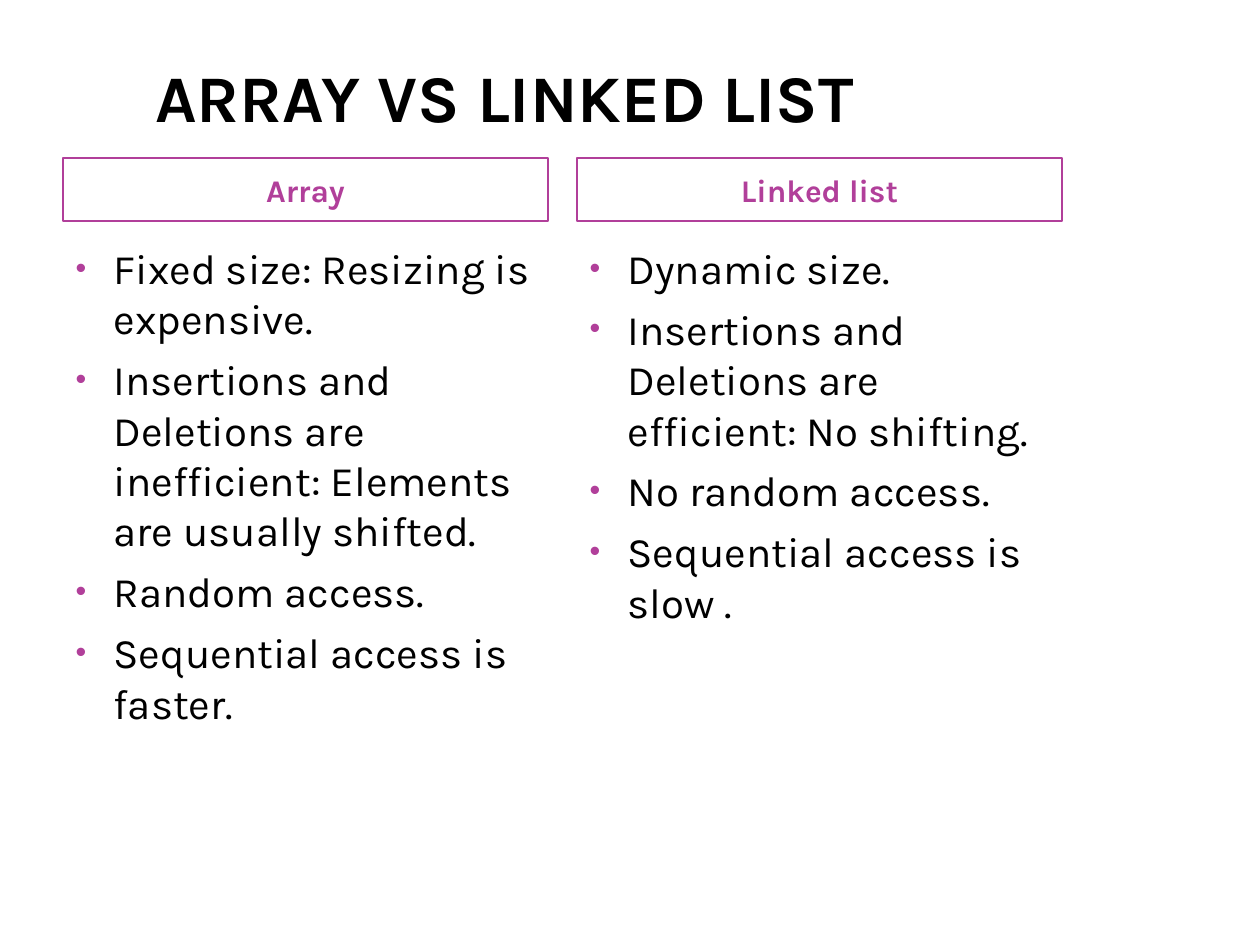
from dataclasses import dataclass

from lxml.etree import SubElement
from pptx import Presentation
from pptx.dml.color import RGBColor
from pptx.enum.text import MSO_ANCHOR, MSO_AUTO_SIZE, PP_ALIGN
from pptx.oxml.ns import qn
from pptx.util import Pt

PX = 914400 / 126


@dataclass(frozen=True)
class Theme:
    """Colours, font and type sizes of the slide."""
    font: str = "Karla"
    ink: str = "000000"
    accent: str = "B13F9A"
    title: int = 38
    heading: int = 18
    body: int = 24
    gap: int = 6
    bullet_pct: int = 73


THEME = Theme()
COLUMNS = [
    ("Array", [
        "Fixed size: Resizing is expensive.",
        "Insertions and Deletions are inefficient: Elements are usually shifted.",
        "Random access.",
        "Sequential access is faster.",
    ]),
    ("Linked list", [
        "Dynamic size.",
        "Insertions and Deletions are efficient: No shifting.",
        "No random access.",
        "Sequential access is slow .",
    ]),
]


def px(n):
    """Convert pixels to EMU."""
    return round(n * PX)


def place(sp, x, y, w, h, anchor):
    """Move a placeholder to a box and return its text frame."""
    sp.left, sp.top, sp.width, sp.height = map(px, (x, y, w, h))
    tf = sp.text_frame
    tf.word_wrap = True
    tf.auto_size = MSO_AUTO_SIZE.NONE
    tf.vertical_anchor = anchor
    return tf


def style(p, size, color, bold=False):
    """Format every run of a paragraph."""
    for r in p.runs:
        r.font.name = THEME.font
        r.font.size = Pt(size)
        r.font.bold = bold
        r.font.color.rgb = RGBColor.from_string(color)


def add_bullet(p, indent):
    """Give a paragraph a hanging accent-coloured bullet."""
    pPr = p._p.get_or_add_pPr()
    pPr.set("marL", str(px(indent)))
    pPr.set("indent", str(-px(indent)))
    clr = SubElement(pPr, qn("a:buClr"))
    SubElement(clr, qn("a:srgbClr"), val=THEME.accent)
    SubElement(pPr, qn("a:buSzPct"), val=str(THEME.bullet_pct * 1000))
    SubElement(pPr, qn("a:buFont"), typeface="Arial")
    SubElement(pPr, qn("a:buChar"), char="•")


def fill_title(sp, text, x, y, w, h):
    """Set the indented slide title."""
    tf = place(sp, x, y, w, h, MSO_ANCHOR.BOTTOM)
    tf.margin_left = tf.margin_right = px(6)
    tf.margin_top = tf.margin_bottom = 0
    tf.text = text
    p = tf.paragraphs[0]
    p.alignment = PP_ALIGN.LEFT
    p._p.get_or_add_pPr().set("marL", str(px(86)))
    style(p, THEME.title, THEME.ink, True)


def fill_column(head, body, heading, items, x, y, w, h):
    """Set a framed heading with its bulleted list below."""
    tf = place(head, x, y, w, 63, MSO_ANCHOR.MIDDLE)
    head.line.color.rgb = RGBColor.from_string(THEME.accent)
    head.line.width = Pt(1)
    tf.text = heading
    p = tf.paragraphs[0]
    p.alignment = PP_ALIGN.CENTER
    p.space_before = Pt(THEME.gap)
    style(p, THEME.heading, THEME.accent, True)

    tf = place(body, x, y + 78, w, h - 78, MSO_ANCHOR.TOP)
    tf.text = "\n".join(items)
    for p in tf.paragraphs:
        p.space_before = Pt(THEME.gap)
        add_bullet(p, 38)
        style(p, THEME.body, THEME.ink)


def main():
    """Build the comparison slide."""
    prs = Presentation()
    prs.slide_width, prs.slide_height = px(1260), px(945)
    s = prs.slides.add_slide(prs.slide_layouts[4])
    ph = {sp.placeholder_format.idx: sp for sp in s.placeholders}
    fill_title(ph[0], "ARRAY VS LINKED LIST", 63, 44, 998, 92)
    for i, (heading, items) in enumerate(COLUMNS):
        fill_column(ph[2 * i + 1], ph[2 * i + 2], heading, items,
                    63 + 514 * i, 158, 485, 645)
    prs.save("out.pptx")


if __name__ == "__main__":
    main()
